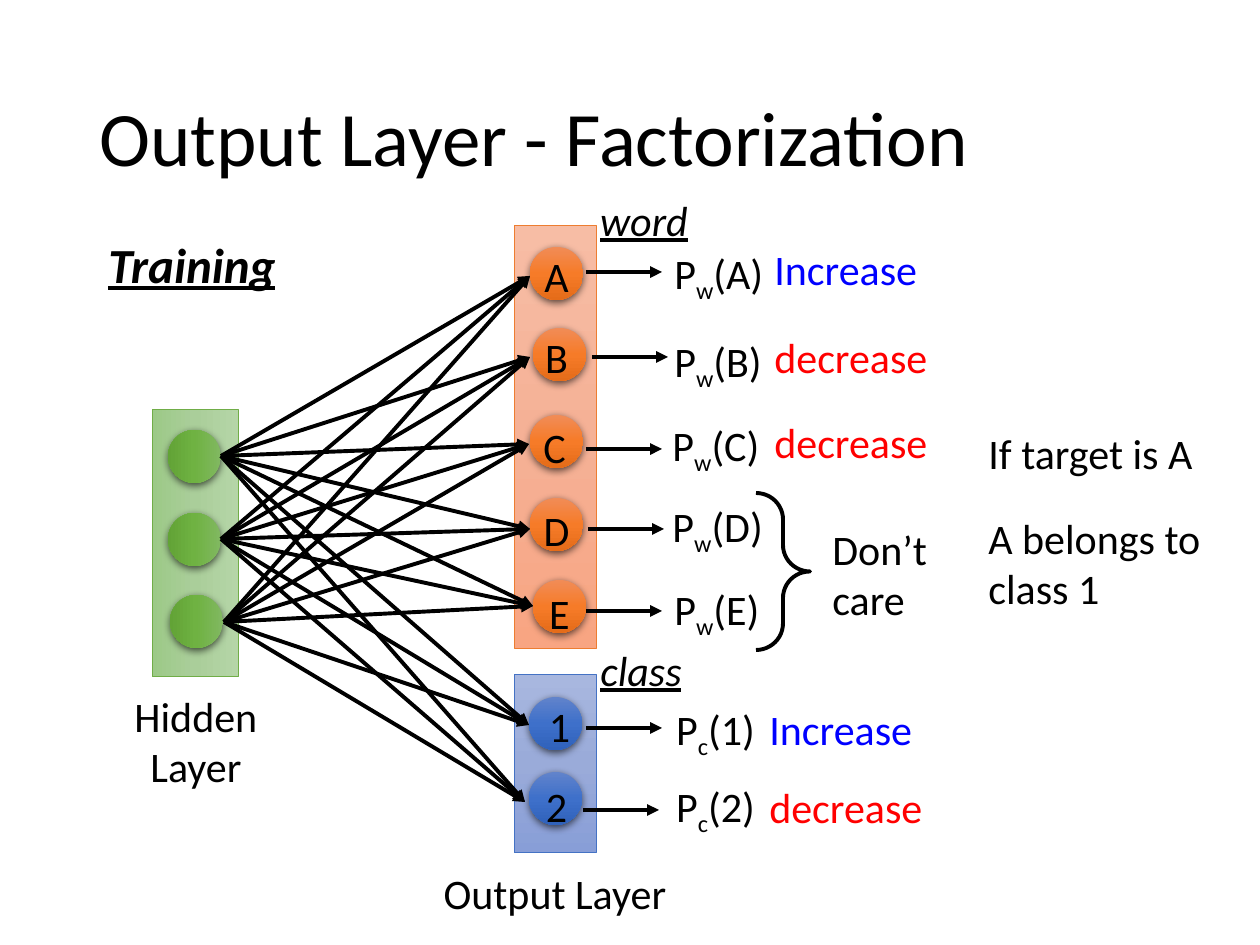
"""Build the slide on training a factorized output layer."""
from copy import deepcopy
from itertools import product

from lxml import etree
from pptx import Presentation, util as u
from pptx.dml.color import RGBColor
from pptx.enum import shapes, text
from pptx.oxml.ns import qn

PX_PER_INCH = 126
FONT = "Calibri"
COLORS = {"black": "000000", "up": "0000FF", "down": "FF0000",
          "word": "ED7D31", "class": "4472C4", "hidden": "70AD47"}
LAYER_FILLS = {"word": ("F7BDA5", "F5B196", "F8A582"),
               "class": ("A8B7DF", "9AABD9", "889ED7"),
               "hidden": ("B5D5A7", "AACE9A", "9CC987")}
NEURON_FILLS = {"word": ("F18C57", "F67B28", "E56C19"),
                "class": ("6183CB", "3E70CA", "3062BB"),
                "hidden": ("81B861", "6FB242", "62A336")}
GRADIENT_ANGLES = {"word": 0, "class": 0, "hidden": 270}

LAYERS = [("word", (514, 225, 82, 423)),
          ("class", (514, 675, 82, 178)),
          ("hidden", (152, 410, 86, 267))]
HIDDEN_NEURONS = [(168, 430), (168, 513), (170, 595)]
OUTPUTS = [
    # layer, name, neuron, name position, probability, its position, arrow start
    ("word", "A", (530, 247), (530, 244), "P_w_(A)", (662, 241), (586, 272)),
    ("word", "B", (533, 328), (530, 325), "P_w_(B)", (662, 329), (592, 357)),
    ("word", "C", (530, 415), (528, 415), "P_w_(C)", (660, 413), (586, 449)),
    ("word", "D", (530, 498), (530, 498), "P_w_(D)", (660, 494), (588, 529)),
    ("word", "E", (533, 580), (533, 581), "P_w_(E)", (662, 577), (586, 611)),
    ("class", "1", (529, 697), (533, 694), "P_c_(1)", (643, 697), (586, 728)),
    ("class", "2", (529, 772), (530, 774), "P_c_(2)", (643, 774), (583, 810)),
]
HIDDEN_EXITS = [(221, 456), (221, 539), (224, 622)]
OUTPUT_ENTRIES = [(530, 276), (530, 357), (529, 444), (530, 529),
                  (533, 606), (529, 725), (525, 802)]
EFFECTS = [("Increase", "up", 762, 237), ("decrease", "down", 762, 325),
           ("decrease", "down", 762, 410), ("Increase", "up", 757, 697),
           ("decrease", "down", 757, 775)]
CAPTIONS = [
    ("Output Layer - Factorization", (87, 50, 1086, 183),
     {"size": 44, "middle": True, "spacing": 0.9}),
    ("Training", (87, 228, 210, 72),
     {"size": 28, "bold": True, "italic": True, "underline": True, "center": True}),
    ("word", (571, 188, 146, 63), {"italic": True, "underline": True, "center": True}),
    ("class", (566, 638, 150, 63), {"italic": True, "underline": True, "center": True}),
    ("Hidden\nLayer", (102, 684, 188, 115), {"center": True}),
    ("Output Layer", (403, 861, 304, 63), {"center": True}),
    ("If target is A", (976, 421, 258, 63), {}),
    ("A belongs to class 1", (976, 506, 255, 115), {}),
    ("Don’t\ncare", (820, 517, 126, 115), {}),
]
BRACE = (756, 493, 54, 157)
NEURON_SIZE, LINE_HEIGHT, PROBABILITY_WIDTH, EFFECT_WIDTH, ARROW_LENGTH = 53, 63, 145, 189, 76


def px(*lengths):
    return [u.Emu(round(n * u.Inches(1) / PX_PER_INCH)) for n in lengths]


def rgb(name):
    return RGBColor.from_string(COLORS[name])


def add_text(slide, content, box, size=24, color="black", bold=None, italic=None,
             underline=None, center=False, middle=False, spacing=None):
    frame = slide.shapes.add_textbox(*px(*box)).text_frame
    frame.word_wrap = True
    if middle:
        frame.vertical_anchor = text.MSO_ANCHOR.MIDDLE
    else:
        frame.auto_size = text.MSO_AUTO_SIZE.SHAPE_TO_FIT_TEXT
    for row, line in enumerate(content.split("\n")):
        paragraph = frame.add_paragraph() if row else frame.paragraphs[0]
        paragraph.alignment = text.PP_ALIGN.CENTER if center else text.PP_ALIGN.LEFT
        paragraph.line_spacing = spacing
        for part, words in enumerate(line.split("_")):
            run = paragraph.add_run()
            run.text = words
            font = run.font
            font.name, font.size, font.color.rgb = FONT, u.Pt(size), rgb(color)
            font.bold, font.italic, font.underline = bold, italic, underline
            if part % 2:
                font._element.set("baseline", "-25000")


def add_upright(slide, preset, box, stops, angle):
    left, top, width, height = box
    shift = (width - height) / 2
    part = slide.shapes.add_shape(preset, *px(left + shift, top - shift, height, width))
    part.rotation = 90
    part.shadow.inherit = False
    part.fill.gradient()
    part.fill.gradient_angle = angle
    stop_list = part._element.spPr.find(qn("a:gradFill")).find(qn("a:gsLst"))
    stop_list.append(deepcopy(stop_list[0]))
    for stop, color, position in zip(part.fill.gradient_stops, stops, (0, 0.5, 1)):
        stop.color.rgb = RGBColor.from_string(color)
        stop.position = position
    return part


def add_layer(slide, layer, box):
    panel = add_upright(slide, shapes.MSO_SHAPE.RECTANGLE, box,
                        LAYER_FILLS[layer], GRADIENT_ANGLES[layer])
    panel.line.color.rgb = rgb(layer)
    panel.line.width = u.Pt(0.5)


def add_neuron(slide, layer, position):
    neuron = add_upright(slide, shapes.MSO_SHAPE.OVAL, (*position, NEURON_SIZE, NEURON_SIZE),
                         NEURON_FILLS[layer], GRADIENT_ANGLES[layer])
    neuron.line.fill.background()
    effects = neuron._element.spPr.find(qn("a:effectLst"))
    shadow = etree.SubElement(effects, qn("a:outerShdw"), blurRad=str(u.Pt(4.5)),
                              dist=str(u.Pt(1.5)), dir="5400000", algn="ctr", rotWithShape="0")
    tint = etree.SubElement(shadow, qn("a:srgbClr"), val=COLORS["black"])
    etree.SubElement(tint, qn("a:alpha"), val="63000")


def add_arrow(slide, start, end):
    arrow = slide.shapes.add_connector(shapes.MSO_CONNECTOR.STRAIGHT, *px(*start, *end))
    arrow.line.color.rgb = rgb("black")
    arrow.line.width = u.Pt(2.25)
    etree.SubElement(arrow.line._get_or_add_ln(), qn("a:tailEnd"), type="triangle")
    etree.SubElement(arrow._element.spPr, qn("a:effectLst"))


def add_brace(slide):
    brace = slide.shapes.add_shape(shapes.MSO_SHAPE.RIGHT_BRACE, *px(*BRACE))
    brace.adjustments[0] = 0.49
    brace.shadow.inherit = False
    brace.fill.background()
    brace.line.color.rgb = rgb("black")
    brace.line.width = u.Pt(2.25)


def main():
    deck = Presentation()
    deck.slide_width, deck.slide_height = u.Inches(10), u.Inches(7.5)
    slide = deck.slides.add_slide(deck.slide_layouts[6])
    for layer, box in LAYERS:
        add_layer(slide, layer, box)
    for position in HIDDEN_NEURONS:
        add_neuron(slide, "hidden", position)
    for layer, name, neuron, name_at, probability, probability_at, (x, y) in OUTPUTS:
        add_neuron(slide, layer, neuron)
        add_text(slide, name, (*name_at, NEURON_SIZE, LINE_HEIGHT), center=True)
        add_text(slide, probability, (*probability_at, PROBABILITY_WIDTH, LINE_HEIGHT),
                 center=layer == "class")
        add_arrow(slide, (x, y), (x + ARROW_LENGTH, y))
    for start, end in product(HIDDEN_EXITS, OUTPUT_ENTRIES):
        add_arrow(slide, start, end)
    for effect, color, left, top in EFFECTS:
        add_text(slide, effect, (left, top, EFFECT_WIDTH, LINE_HEIGHT), color=color)
    for caption, box, style in CAPTIONS:
        add_text(slide, caption, box, **style)
    add_brace(slide)
    deck.save("out.pptx")


if __name__ == "__main__":
    main()
